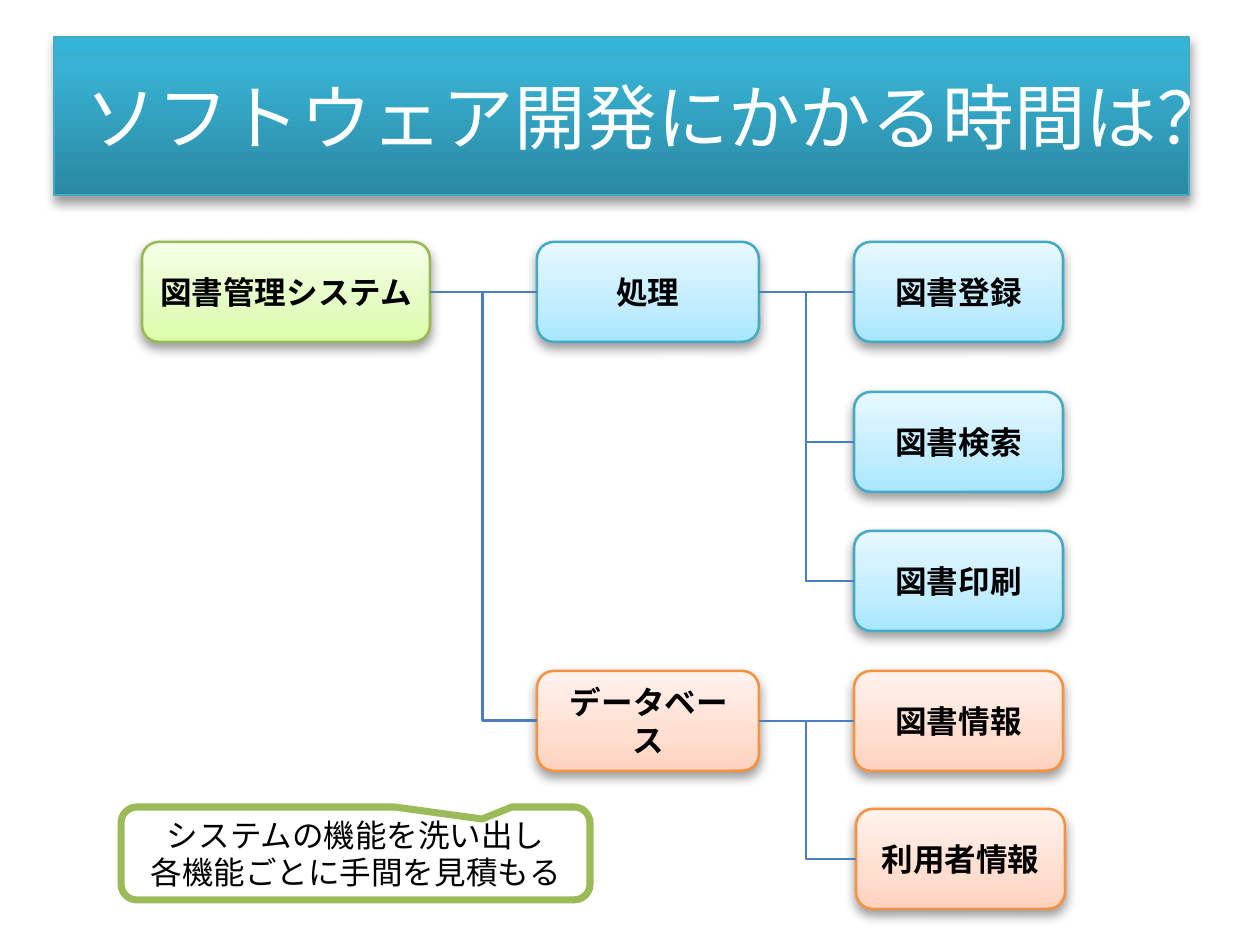
from lxml.etree import SubElement
from pptx import Presentation
from pptx.dml.color import RGBColor
from pptx.enum.shapes import MSO_CONNECTOR as CONNECTOR, MSO_SHAPE as SHAPE
from pptx.enum.text import MSO_ANCHOR as ANCHOR, MSO_AUTO_SIZE as AUTO_SIZE, PP_ALIGN as ALIGN
from pptx.oxml.ns import qn
from pptx.util import Emu, Pt

PX = 914400 / 252
GREEN = ("98B955", [(0, "DAFDA7"), (35, "E4FCC2"), (100, "F5FFE7")])
BLUE = ("46AAC5", [(0, "A7E6FF"), (35, "C1EDFF"), (100, "E7F8FF")])
ORANGE = ("F69240", [(0, "FFD2BD"), (35, "FFDED0"), (100, "FFF2ED")])
BANNER = ("46AAC5", [(0, "2A88A2"), (80, "37B1D2"), (100, "34B4D6")])


def px(*lengths):
    return [Emu(round(length * PX)) for length in lengths]


def style(shape, text, size, color, palette=None, bold=False, font="Calibri"):
    """Write centred text; a palette adds its outline, gradient and shadow."""
    frame = shape.text_frame
    frame.text = text
    frame.word_wrap = True
    frame.auto_size = AUTO_SIZE.NONE
    frame.vertical_anchor = ANCHOR.MIDDLE
    frame.margin_left, frame.margin_right = px(13, 13)
    frame.margin_top, frame.margin_bottom = px(6, 6)
    for para in frame.paragraphs:
        para.alignment = ALIGN.CENTER
        para.font.name = font
        para.font.size = Pt(size)
        para.font.bold = bold
        para.font.color.rgb = RGBColor.from_string(color)
    if palette is None:
        return
    outline, stops = palette
    shape.line.color.rgb = RGBColor.from_string(outline)
    shape.line.width = Pt(0.75)
    shape.fill.gradient()
    shape.fill.gradient_angle = 90
    properties = shape.fill._xPr
    stop_list = properties.find(qn("a:gradFill")).find(qn("a:gsLst"))
    stop_list.clear()
    for percent, stop_color in stops:
        stop = SubElement(stop_list, qn("a:gs"), pos=str(percent * 1000))
        SubElement(stop, qn("a:srgbClr"), val=stop_color)
    shape.shadow.inherit = False
    shadow = SubElement(properties.find(qn("a:effectLst")), qn("a:outerShdw"),
                        blurRad=str(Pt(3.1)), dist=str(Pt(1.6)), dir="5400000", rotWithShape="0")
    shadow_color = SubElement(shadow, qn("a:srgbClr"), val="000000")
    SubElement(shadow_color, qn("a:alpha"), val="38000")


deck = Presentation()
deck.slide_width, deck.slide_height = px(1260, 945)
page = deck.slides.add_slide(deck.slide_layouts[5])

title = page.shapes.title
title.left, title.top, title.width, title.height = px(54, 37, 1135, 158)
style(title, "ソフトウェア開発にかかる時間は？", 20.4, "FFFFFF", BANNER)

# Tree boxes: text, left, top, width, palette
boxes = {}
for text, left, top, width, palette in [
    ("図書管理システム", 142, 242, 288, GREEN),
    ("処理", 537, 242, 222, BLUE),
    ("図書登録", 854, 242, 209, BLUE),
    ("図書検索", 854, 392, 209, BLUE),
    ("図書印刷", 854, 531, 209, BLUE),
    ("データベース", 537, 671, 222, ORANGE),
    ("図書情報", 854, 671, 209, ORANGE),
    ("利用者情報", 856, 809, 209, ORANGE),
]:
    box = page.shapes.add_shape(SHAPE.ROUNDED_RECTANGLE, *px(left, top, width, 100))
    style(box, text, 9, "000000", palette, bold=True)
    boxes[text] = box

connectors = []
for parent, child in [("図書管理システム", "処理"), ("処理", "図書登録"), ("データベース", "図書情報")]:
    connector = page.shapes.add_connector(CONNECTOR.STRAIGHT, 0, 0, 0, 0)
    connector.begin_connect(boxes[parent], 3)
    connector.end_connect(boxes[child], 1)
    connectors.append(connector)

# Branches run left from a box, then up to the trunk: box, trunk x, trunk top
for child, trunk, top in [
    ("データベース", 483, 292),
    ("図書検索", 806, 292),
    ("図書印刷", 806, 442),
    ("利用者情報", 806, 721),
]:
    box = boxes[child]
    branch = page.shapes.add_connector(
        CONNECTOR.ELBOW, box.left, box.top + box.height // 2, *px(trunk, top))
    branch._element.spPr.find(qn("a:prstGeom")).set("prst", "bentConnector2")
    connectors.append(branch)

for connector in connectors:
    connector.line.color.rgb = RGBColor.from_string("4B7EBC")
    connector.line.width = Pt(0.75)
    SubElement(connector._element.spPr, qn("a:effectLst"))

callout = page.shapes.add_shape(SHAPE.ROUNDED_RECTANGULAR_CALLOUT, *px(121, 807, 469, 93))
callout.adjustments[0] = 0.27
callout.adjustments[1] = -0.37
callout.adjustments[2] = 0.17
callout.shadow.inherit = False
callout.fill.solid()
callout.fill.fore_color.rgb = RGBColor.from_string("FFFFFF")
callout.line.color.rgb = RGBColor.from_string("9BBB59")
callout.line.width = Pt(2)
style(callout, "システムの機能を洗い出し\n各機能ごとに手間を見積もる", 9, "000000", font="Noto Sans CJK JP")

deck.save("out.pptx")
